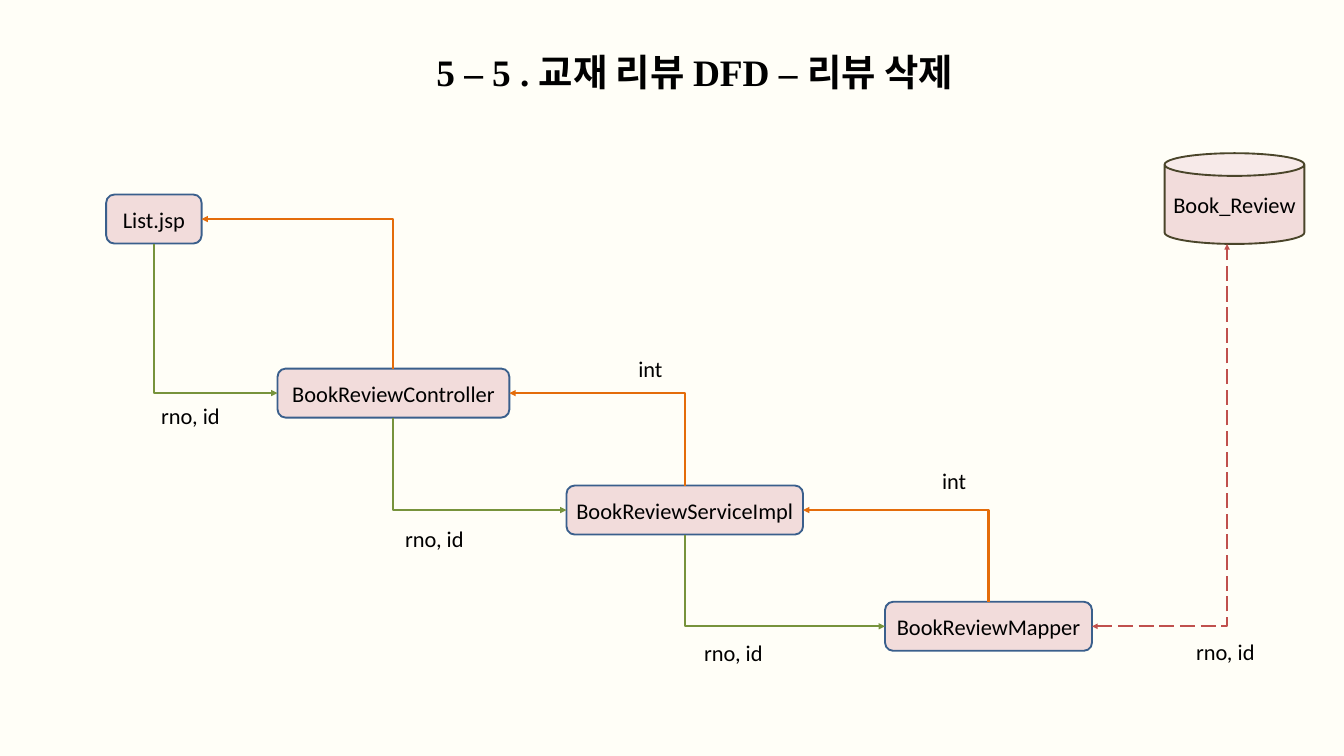
from lxml.etree import SubElement as Sub
from pptx import Presentation
from pptx.dml.color import RGBColor as Rgb
from pptx.enum.dml import MSO_LINE as Dash
from pptx.enum.shapes import MSO_CONNECTOR as Link, MSO_SHAPE as Form
from pptx.enum.text import MSO_ANCHOR as Anchor, MSO_AUTO_SIZE as Fit, PP_ALIGN as Align
from pptx.oxml.ns import qn
from pptx.util import Inches, Pt


def tint(fill, code):
    fill.solid()
    fill.fore_color.rgb = Rgb.from_string(code)


def write(frame, text, size=24, face="Calibri", bold=False,
          side=Align.CENTER, anchor=Anchor.MIDDLE, wrap=False, fit=Fit.NONE):
    frame.word_wrap = wrap
    frame.auto_size = fit
    frame.vertical_anchor = anchor
    para = frame.paragraphs[0]
    para.alignment = side
    run = para.add_run()
    run.text = text
    run.font.size, run.font.name, run.font.bold = Pt(size), face, bold
    tint(run.font.fill, "000000")


deck = Presentation()
deck.slide_width, deck.slide_height = Inches(20), Inches(11.25)
unit = deck.slide_width // 20
slide = deck.slides.add_slide(deck.slide_layouts[5])
tint(slide.background.fill, "FFFEF7")
shapes = slide.shapes

title = shapes.title
title.left, title.top, title.width, title.height = [
    int(n * unit) for n in (5.42, 0.68, 9.83, 0.77)]
write(title.text_frame, "5 – 5 . 교재 리뷰 DFD – 리뷰 삭제", size=40, face="Times New Roman",
      bold=True, anchor=Anchor.TOP, wrap=True, fit=Fit.SHAPE_TO_FIT_TEXT)

tall = 0.73
steps = [
    ("List.jsp", 1.58, 3.26, 1.42),
    ("BookReviewController", 4.13, 5.85, 3.45),
    ("BookReviewServiceImpl", 8.43, 7.59, 3.52),
    ("BookReviewMapper", 13.17, 9.32, 3.08),
]
nodes = [(Form.ROUNDED_RECTANGLE, name, x, y - tall / 2, w, tall, "3A5F8C")
         for name, x, y, w in steps]
nodes.append((Form.CAN, "Book_Review", 17.33, 2.28, 2.08, 1.35, "4A452A"))
for form, name, x, y, w, h, edge in nodes:
    node = shapes.add_shape(form, *[int(n * unit) for n in (x, y, w, h)])
    node.shadow.inherit = False
    tint(node.fill, "F2DCDB")
    tint(node.line.fill, edge)
    node.line.width = Pt(2)
    write(node.text_frame, name)

links = [(16.25, 9.32, 18.26, 3.63, "C0504D", 2, ("headEnd", "tailEnd"))]
for (_, x, y, w), (_, nx, ny, nw) in zip(steps, steps[1:]):
    links.append((nx, ny, x + w / 2, y + tall / 2, "77933C", 2.25, ("headEnd",)))
    links.append((x + w, y, nx + nw / 2, ny - tall / 2, "E46C0A", 2.25, ("headEnd",)))
for x, y, ex, ey, code, thick, ends in links:
    link = shapes.add_connector(Link.ELBOW, *[int(n * unit) for n in (x, y, ex, ey)])
    props = link._element.spPr
    props.find(qn("a:prstGeom")).set("prst", "bentConnector2")
    tint(link.line.fill, code)
    link.line.width = Pt(thick)
    if len(ends) == 2:
        link.line.dash_style = Dash.LONG_DASH
    for end in ends:
        Sub(props.find(qn("a:ln")), qn("a:" + end), type="triangle")
    Sub(props, qn("a:effectLst"))

labels = [
    ("rno, id", 2.3, 5.94, 1.16), ("rno, id", 5.93, 7.77, 1.16),
    ("rno, id", 10.38, 9.46, 1.16), ("rno, id", 17.7, 9.44, 1.16),
    ("int", 9.4, 5.23, 0.57), ("int", 13.92, 6.9, 0.57),
]
for text, x, y, w in labels:
    label = shapes.add_textbox(*[int(n * unit) for n in (x, y, w, 0.5)])
    write(label.text_frame, text, side=Align.LEFT, anchor=Anchor.TOP,
          fit=Fit.SHAPE_TO_FIT_TEXT)

deck.save("out.pptx")
